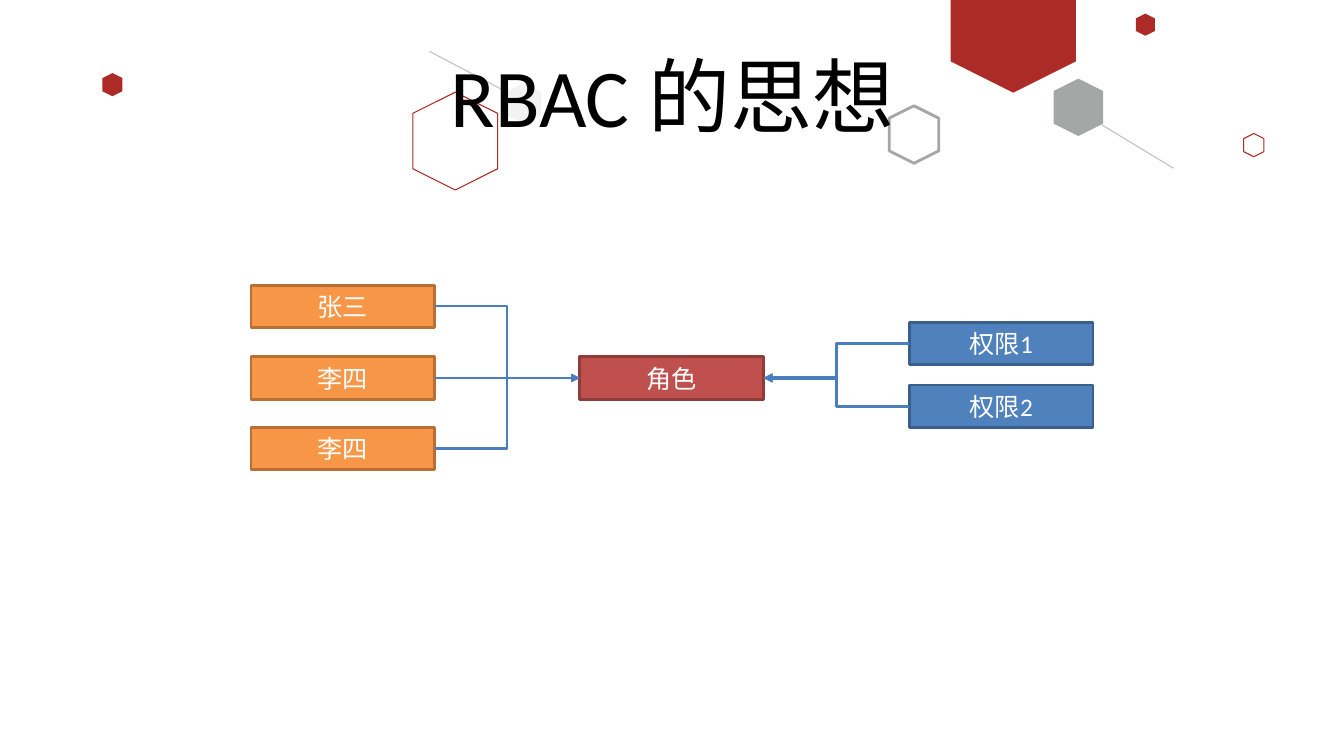
from lxml import etree
from pptx import Presentation
from pptx import util as u
from pptx.dml.color import RGBColor
from pptx.enum import shapes, text
from pptx.oxml.ns import qn


def paint(box, fill=None, line=None, width=0.75):
    box.shadow.inherit = False
    if fill:
        box.fill.solid()
        box.fill.fore_color.rgb = RGBColor.from_string(fill)
    else:
        box.fill.background()
    if line:
        box.line.color.rgb = RGBColor.from_string(line)
        box.line.width = u.Pt(width)
    else:
        box.line.fill.background()


def write(box, words, size, color):
    para = box.text_frame.paragraphs[0]
    para.alignment = text.PP_ALIGN.CENTER
    span = para.add_run()
    span.text = words
    span.font.size = u.Pt(size)
    span.font.name = "Calibri"
    span.font.color.rgb = RGBColor.from_string(color)


deck = Presentation()
deck.slide_width = u.Inches(13.33)
deck.slide_height = u.Inches(7.5)
page = deck.slides.add_slide(deck.slide_layouts[5])

outline = page.shapes.build_freeform(u.Inches(9.43), u.Inches(-0.21))
corners = [(10.67, -0.21), (10.67, 0.61), (10.05, 0.92), (9.43, 0.61)]
outline.add_line_segments([(u.Inches(x), u.Inches(y)) for x, y in corners])
paint(outline.convert_to_shape(), "AD2B26")

hexagons = [
    (10.41, 0.82, 0.57, 0.49, "49504F", None, 0.75),
    (8.78, 1.09, 0.57, 0.49, None, "A6A6A6", 2),
    (11.25, 0.15, 0.22, 0.19, "AD2B26", None, 0.75),
    (4.03, 0.98, 0.97, 0.84, None, "AD2B26", 0.75),
    (12.32, 1.34, 0.23, 0.2, None, "AD2B26", 0.75),
    (1, 0.74, 0.23, 0.2, "AD2B26", None, 0.75),
    (4.99, 0.85, 0.4, 0.35, "F2F2F2", None, 0.75),
]
for left, top, width, height, fill, line, weight in hexagons:
    hexagon = page.shapes.add_shape(
        shapes.MSO_SHAPE.HEXAGON,
        u.Inches(left), u.Inches(top), u.Inches(width), u.Inches(height))
    hexagon.rotation = 90
    paint(hexagon, fill, line, weight)
    if fill == "49504F":
        tint = hexagon.fill._xPr.find(qn("a:solidFill"))[0]
        etree.SubElement(tint, qn("a:alpha"), val="50000")

for ends in [(10.93, 1.24, 11.64, 1.67), (4.26, 0.51, 5.02, 0.91)]:
    stroke = page.shapes.add_connector(
        shapes.MSO_CONNECTOR.STRAIGHT, *[u.Inches(value) for value in ends])
    stroke.line.color.rgb = RGBColor.from_string("BFBFBF")
    stroke.line.width = u.Pt(0.75)
    etree.SubElement(stroke.element.spPr, qn("a:effectLst"))

title = page.shapes.title
title.left, title.top = u.Inches(0.92), u.Inches(0.4)
title.width, title.height = u.Inches(11.5), u.Inches(1.45)
title.text_frame.auto_size = text.MSO_AUTO_SIZE.NONE
title.text_frame.vertical_anchor = text.MSO_ANCHOR.TOP
write(title, "RBAC 的思想", 58.6, "000000")
page.shapes.element.append(title.element)

LEFT_SITE, RIGHT_SITE = 1, 3
nodes = [
    ("角色", 5.75, 3.54, "C0504D", "8E3B39", None, None, None),
    ("张三", 2.49, 2.83, "F79646", "B76F34", RIGHT_SITE, LEFT_SITE, 1.5),
    ("李四", 2.49, 3.54, "F79646", "B76F34", RIGHT_SITE, LEFT_SITE, 1.5),
    ("李四", 2.49, 4.24, "F79646", "B76F34", RIGHT_SITE, LEFT_SITE, 1.5),
    ("权限1", 9.02, 3.2, "4F81BD", "3A5F8C", LEFT_SITE, RIGHT_SITE, 2.25),
    ("权限2", 9.02, 3.82, "4F81BD", "3A5F8C", LEFT_SITE, RIGHT_SITE, 2.25),
]
role = None
for words, left, top, fill, line, start, finish, weight in nodes:
    node = page.shapes.add_shape(
        shapes.MSO_SHAPE.RECTANGLE,
        u.Inches(left), u.Inches(top), u.Inches(1.82), u.Inches(0.42))
    paint(node, fill, line, 2)
    node.text_frame.vertical_anchor = text.MSO_ANCHOR.MIDDLE
    write(node, words, 18, "FFFFFF")
    if role is None:
        role = node
        continue
    arrow = page.shapes.add_connector(shapes.MSO_CONNECTOR.ELBOW, 0, 0, 0, 0)
    arrow.begin_connect(node, start)
    arrow.end_connect(role, finish)
    arrow.line.color.rgb = RGBColor.from_string("4B7EBC")
    arrow.line.width = u.Pt(weight)
    etree.SubElement(arrow.line._get_or_add_ln(), qn("a:tailEnd"), type="triangle")
    etree.SubElement(arrow.element.spPr, qn("a:effectLst"))

deck.save("out.pptx")
